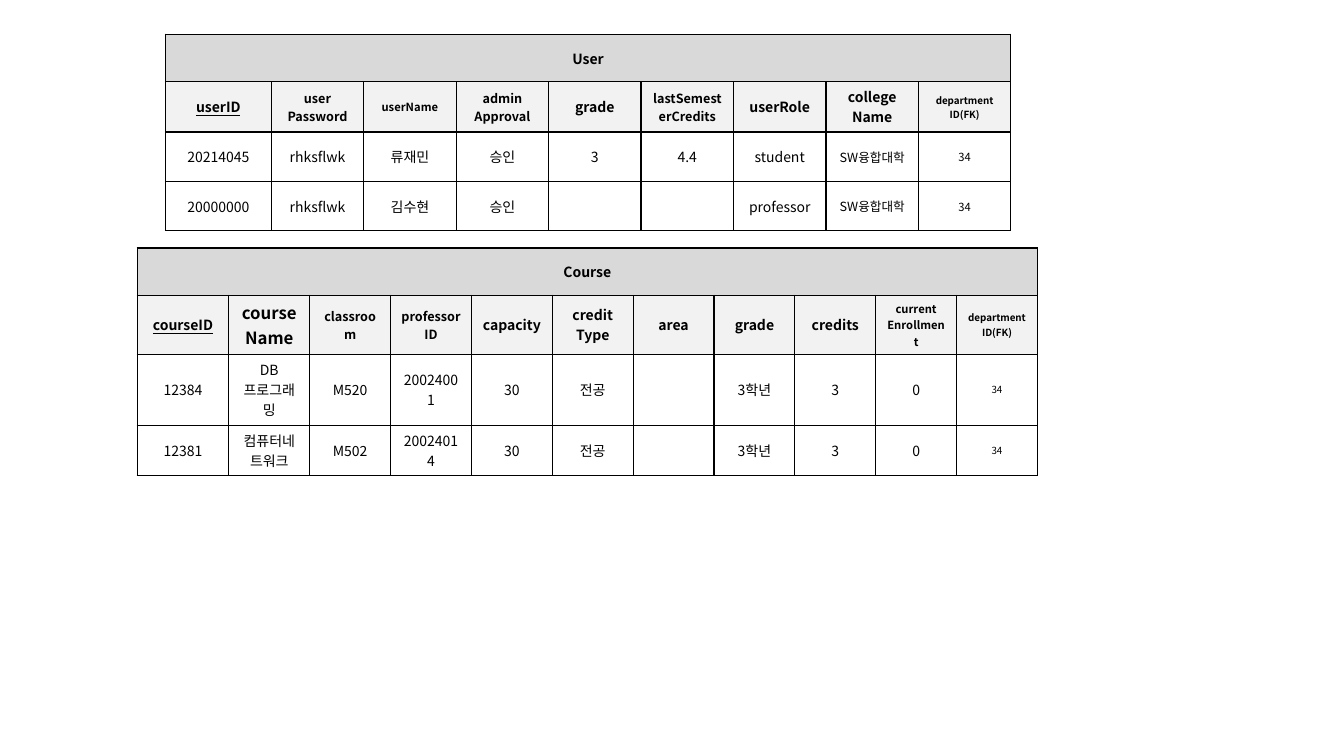
import pptx
import pptx.util
import pptx.dml.color
import pptx.enum.text
import pptx.oxml
import pptx.oxml.ns
from pptx.util import Inches

FONT = "Noto Sans CJK KR"
BLACK = pptx.dml.color.RGBColor(0x00, 0x00, 0x00)
WHITE = pptx.dml.color.RGBColor(0xFF, 0xFF, 0xFF)
TITLE_GRAY = pptx.dml.color.RGBColor(0xD9, 0xD9, 0xD9)
HEADER_GRAY = pptx.dml.color.RGBColor(0xF2, 0xF2, 0xF2)

ROW_HEIGHTS = [0.47, 0.47, 0.49, 0.49]

USER_HEADERS = ["userID", "user\nPassword", "userName", "admin\nApproval", "grade",
                "lastSemesterCredits", "userRole", "college\nName", "department\nID(FK)"]
USER_HEADER_SIZES = [10, 9, 8, 9, 10, 9, 10, 10, 7]
USER_ROWS = [
    ["20214045", "rhksflwk", "류재민", "승인", "3", "4.4", "student", "SW융합대학", "34"],
    ["20000000", "rhksflwk", "김수현", "승인", "", "", "professor", "SW융합대학", "34"],
]
USER_BODY_SIZES = [10] * 7 + [9, 8]

COURSE_HEADERS = ["courseID", "courseName", "classroom", "professor\nID", "capacity",
                  "credit\nType", "area", "grade", "credits", "current\nEnrollment",
                  "department\nID(FK)"]
COURSE_HEADER_SIZES = [10, 12, 9, 9, 10, 10, 10, 10, 10, 8, 7]
COURSE_ROWS = [
    ["12384", "DB프로그래밍", "M520", "20024001", "30", "전공", "", "3학년", "3", "0", "34"],
    ["12381", "컴퓨터네트워크", "M502", "20024014", "30", "전공", "", "3학년", "3", "0", "34"],
]
COURSE_BODY_SIZES = [10] * 10 + [7]


def set_borders(cell, top=1, bottom=1):
    """Draw black cell borders, with widths in points; the sides are 1 pt."""
    tcPr = cell._tc.get_or_add_tcPr()
    for side, width in (("L", 1), ("R", 1), ("T", top), ("B", bottom)):
        tcPr.append(pptx.oxml.parse_xml(
            f'<a:ln{side} {pptx.oxml.ns.nsdecls("a")} w="{pptx.util.Pt(width)}">'
            f'<a:solidFill><a:srgbClr val="{BLACK}"/></a:solidFill>'
            f'<a:prstDash val="solid"/></a:ln{side}>'))


def fill_cell(cell, text, size, color, bold=False, underline=False):
    cell.fill.solid()
    cell.fill.fore_color.rgb = color
    cell.vertical_anchor = pptx.enum.text.MSO_ANCHOR.MIDDLE
    cell.text_frame.text = text
    for p in cell.text_frame.paragraphs:
        p.alignment = pptx.enum.text.PP_ALIGN.CENTER
        for r in p.runs:
            r.font.name = FONT
            r.font.size = pptx.util.Pt(size)
            r.font.bold = bold
            r.font.underline = underline
            r.font.color.rgb = BLACK
            ea = pptx.oxml.parse_xml(
                f'<a:ea {pptx.oxml.ns.nsdecls("a")} typeface="{FONT}"/>')
            r.font._element.find(pptx.oxml.ns.qn("a:latin")).addnext(ea)


def add_entity_table(s, left, top, first_width, other_width, title,
                     headers, header_sizes, rows, body_sizes):
    """Add a title row, a header row with an underlined key, and data rows."""
    count = len(headers)
    widths = [first_width] + [other_width] * (count - 1)
    table = s.shapes.add_table(len(rows) + 2, count, Inches(left), Inches(top),
                               Inches(sum(widths)), Inches(sum(ROW_HEIGHTS))).table
    table.first_row = False
    table.horz_banding = False
    for column, width in zip(table.columns, widths):
        column.width = Inches(width)
    for row, height in zip(table.rows, ROW_HEIGHTS):
        row.height = Inches(height)

    last = len(rows) + 1
    for i, row in enumerate(table.rows):
        for cell in row.cells:
            set_borders(cell, top=0.5 if i > 2 else 1, bottom=0.5 if 1 < i < last else 1)

    table.cell(0, 0).merge(table.cell(0, count - 1))
    fill_cell(table.cell(0, 0), title, 10, TITLE_GRAY, bold=True)
    for j, (text, size) in enumerate(zip(headers, header_sizes)):
        fill_cell(table.cell(1, j), text, size, HEADER_GRAY, bold=True, underline=j == 0)
    for i, values in enumerate(rows, start=2):
        for j, (text, size) in enumerate(zip(values, body_sizes)):
            fill_cell(table.cell(i, j), text, size, WHITE)


def main():
    prs = pptx.Presentation()
    prs.slide_width, prs.slide_height = Inches(13.33), Inches(7.5)
    s = prs.slides.add_slide(prs.slide_layouts[6])
    add_entity_table(s, 1.64, 0.34, 1.05, 0.917, "User", USER_HEADERS,
                     USER_HEADER_SIZES, USER_ROWS, USER_BODY_SIZES)
    add_entity_table(s, 1.36, 2.46, 0.91, 0.802, "Course", COURSE_HEADERS,
                     COURSE_HEADER_SIZES, COURSE_ROWS, COURSE_BODY_SIZES)
    prs.save("out.pptx")


if __name__ == "__main__":
    main()
